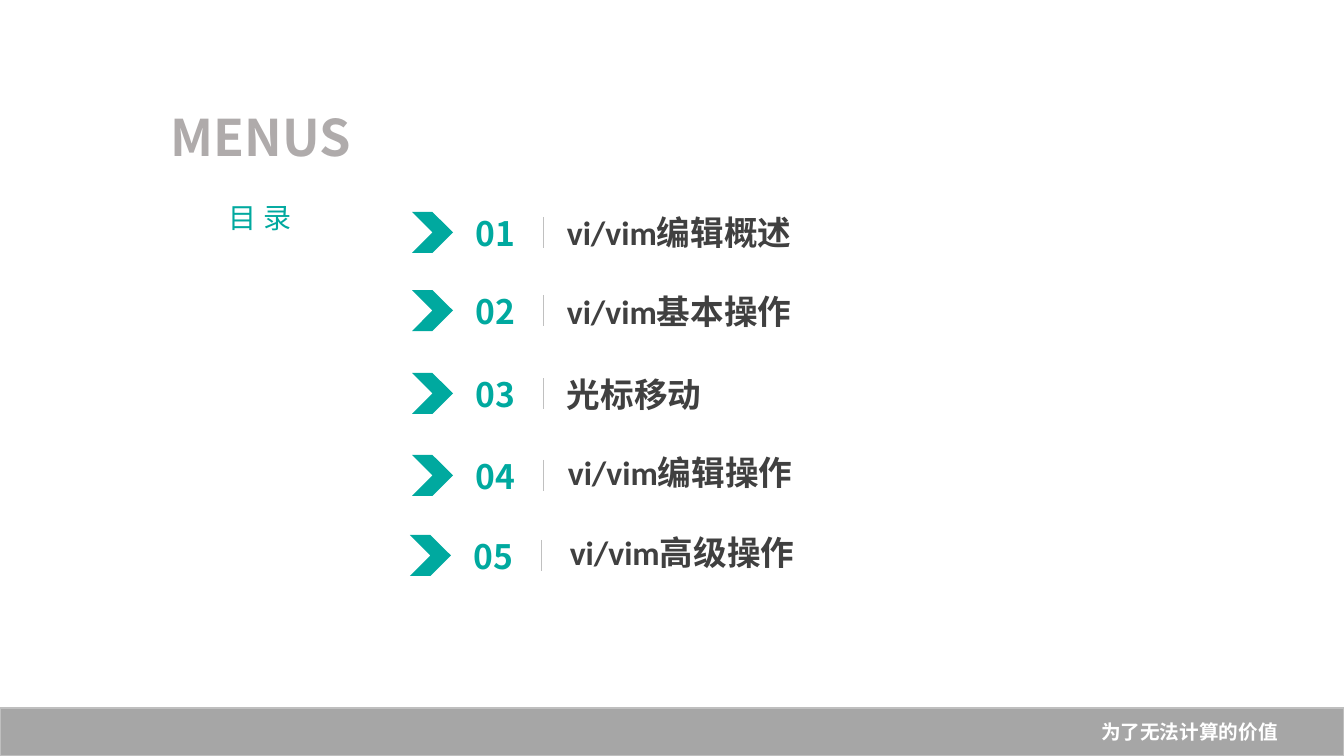
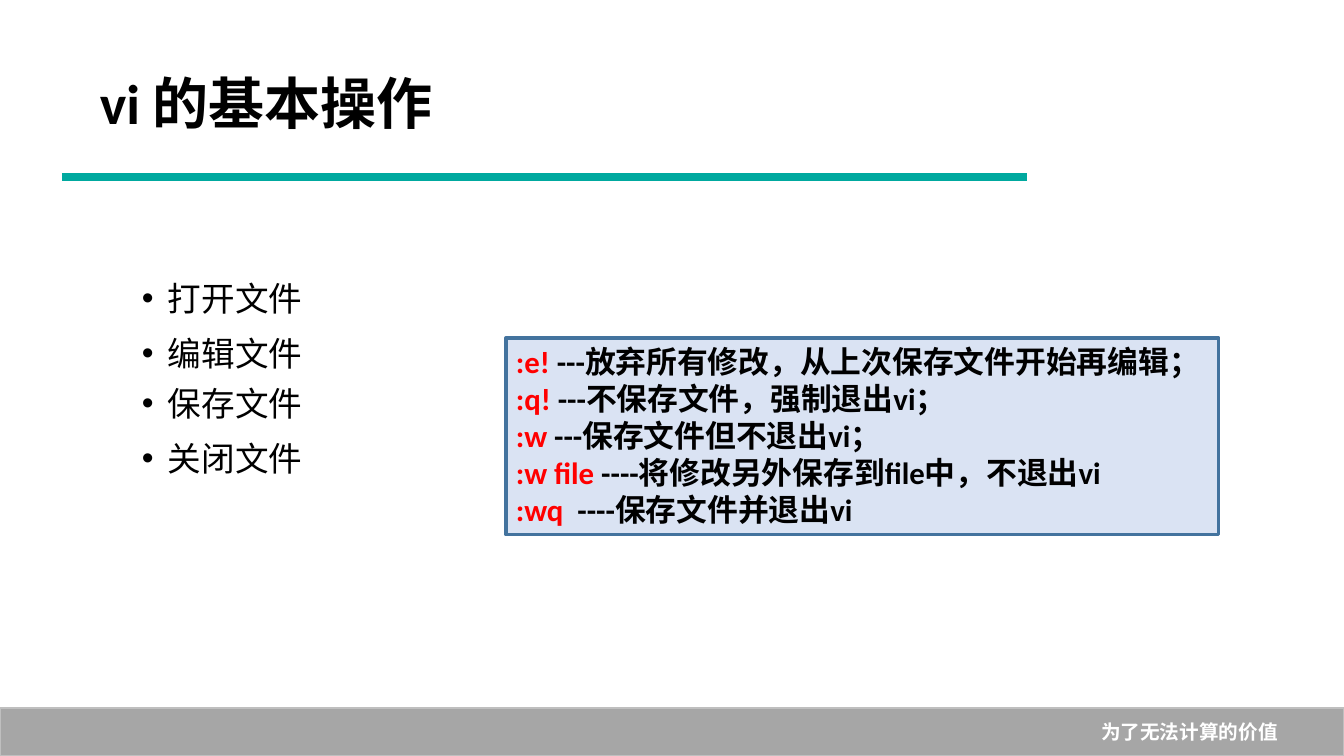
import pptx
import pptx.util
import pptx.dml.color
import pptx.enum.shapes
import pptx.enum.text
import pptx.oxml.ns
from lxml import etree

SCALE = 12192000 / 1344
HEX = {"teal": "00A99F", "gray": "AFABAB", "dark": "404040", "rule": "C0C0C0",
       "band": "A6A6A6", "edge": "BFBFBF", "white": "FFFFFF", "black": "000000",
       "red": "FF0000", "pale": "DAE3F3", "blue": "43739E"}
SANS, BODY = "Noto Sans CJK SC", "Calibri"
SHAPE = pptx.enum.shapes.MSO_SHAPE
ALIGN = pptx.enum.text.PP_ALIGN
ANCHOR = pptx.enum.text.MSO_ANCHOR


def px(num):
    """Turn pixels into EMU."""
    return pptx.util.Emu(round(num * SCALE))


def rgb(name):
    """Look up a colour by name."""
    return pptx.dml.color.RGBColor.from_string(HEX[name])


def sub(node, tag, **attrs):
    """Append a DrawingML element."""
    return etree.SubElement(node, pptx.oxml.ns.qn("a:" + tag), attrs)


class Deck:
    """Hold the shared style and the current slide."""

    def __init__(self):
        self.prs = pptx.Presentation()
        self.prs.slide_width, self.prs.slide_height = px(1344), px(756)
        self.slide = None

    def page(self):
        """Start a slide with the footer band."""
        self.slide = self.prs.slides.add_slide(self.prs.slide_layouts[6])
        band = self.shape(SHAPE.RECTANGLE, (0, 708, 1344, 48), "band", "edge", 1)
        band.text_frame.margin_right = px(66)
        self.label(band, [[("为了无法计算的价值", "white")]], 14, bold=True,
                   align=ALIGN.RIGHT)

    def label(self, shape, lines, size, font=BODY, bold=False, align=ALIGN.LEFT,
              anchor=ANCHOR.MIDDLE, space=None):
        """Fill a shape with lines, each a list of (text, colour) runs."""
        frame = shape.text_frame
        frame.word_wrap, frame.vertical_anchor = True, anchor
        style = {"size": pptx.util.Pt(size), "bold": bold, "name": font}
        for i, line in enumerate(lines):
            para = frame.add_paragraph() if i else frame.paragraphs[0]
            para.alignment, para.line_spacing = align, space
            for text, color in line:
                run = para.add_run()
                run.text = text
                run.font.color.rgb = rgb(color)
                for key, value in style.items():
                    setattr(run.font, key, value)
                sub(run.font._element, "ea", typeface=font)

    def text(self, box, text, size, color, **style):
        """Add a one-line text box."""
        shape = self.slide.shapes.add_textbox(*map(px, box))
        self.label(shape, [[(text, color)]], size, **style)
        return shape

    def bullet(self, box, text, size, color, gap):
        """Add a text box with a hanging bullet."""
        para = self.text(box, text, size, color).text_frame.paragraphs[0]
        props = para._p.get_or_add_pPr()
        props.set("marL", str(px(gap)))
        props.set("indent", str(-px(gap)))
        sub(props, "buFont", typeface="Arial")
        sub(props, "buChar", char="•")

    def shape(self, kind, box, fill, edge=None, width=0):
        """Add a filled preset shape."""
        shape = self.slide.shapes.add_shape(kind, *map(px, box))
        shape.shadow.inherit = False
        shape.fill.solid()
        shape.fill.fore_color.rgb = rgb(fill)
        if edge:
            shape.line.color.rgb = rgb(edge)
            shape.line.width = pptx.util.Pt(width)
        else:
            shape.line.fill.background()
        return shape

    def line(self, ends, color, width):
        """Add a straight line."""
        kind = pptx.enum.shapes.MSO_CONNECTOR.STRAIGHT
        line = self.slide.shapes.add_connector(kind, *map(px, ends))
        line.line.color.rgb = rgb(color)
        line.line.width = pptx.util.Pt(width)
        sub(line._element.spPr, "effectLst")


def menu(deck):
    """Build the contents slide."""
    deck.page()
    deck.text((76, 94, 369, 85), "MENUS", 36, "gray", font=SANS, bold=True,
              align=ALIGN.CENTER)
    deck.text((155, 171, 210, 96), "目 录", 20, "teal", font=SANS,
              align=ALIGN.CENTER, space=0.9)
    # Each row: shift of the marks, their top, left and top of the label
    rows = [(0, 193, 557, 192, "vi/vim编辑概述"),
            (0, 271, 557, 271, "vi/vim基本操作"),
            (0, 354, 557, 354, "光标移动"),
            (0, 436, 558, 432, "vi/vim编辑操作"),
            (-2, 516, 560, 512, "vi/vim高级操作")]
    for num, (dx, top, left, high, label) in enumerate(rows, 1):
        deck.shape(SHAPE.CHEVRON, (412 + dx, top + 19, 41, 41), "teal")
        deck.text((453 + dx, top, 85, 80), f"{num:02}", 24, "teal", font=SANS,
                  bold=True, align=ALIGN.CENTER)
        deck.line((543 + dx, top + 24, 543 + dx, top + 55), "rule", 0.5)
        deck.text((left, high, 442, 80), label, 24, "dark", bold=True)


def basics(deck):
    """Build the slide on basic operations."""
    deck.page()
    deck.line((62, 177, 1027, 177), "teal", 5.75)
    deck.text((90, 62, 442, 80), "vi 的基本操作", 40, "black", bold=True)
    tops = {"打开文件": 258, "编辑文件": 313, "保存文件": 363, "关闭文件": 418}
    for text, top in tops.items():
        deck.bullet((132, top, 1055, 80), text, 24, "black", 26)
    keys = [(":e! ", "---放弃所有修改，从上次保存文件开始再编辑；"),
            (":q! ", "---不保存文件，强制退出vi；"),
            (":w ", "---保存文件但不退出vi；"),
            (":w file ", "----将修改另外保存到file中，不退出vi"),
            (":wq  ", "----保存文件并退出vi")]
    panel = deck.shape(SHAPE.RECTANGLE, (506, 338, 713, 197), "pale", "blue", 2.25)
    deck.label(panel, [[(key, "red"), (use, "black")] for key, use in keys], 22,
               bold=True, anchor=ANCHOR.TOP)


deck = Deck()
menu(deck)
basics(deck)
deck.prs.save("out.pptx")
